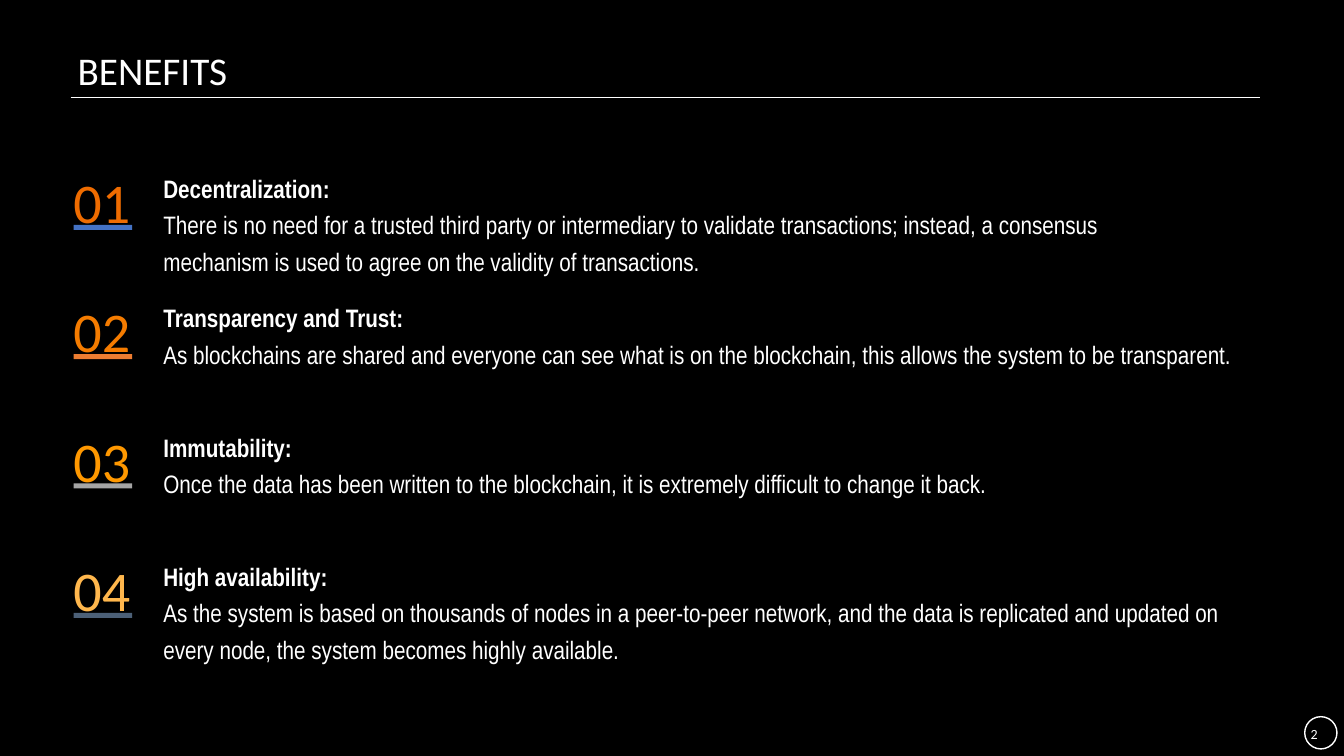
from pptx import Presentation, util as u
from pptx.dml.color import RGBColor
from pptx.enum import shapes, text
from pptx.oxml.ns import qn

WHITE = "FFFFFF"
BENEFITS = [
    ("Decentralization:",
     ["There is no need for a trusted third party or intermediary to validate transactions; instead, a consensus",
      "mechanism is used to agree on the validity of transactions."],
     "EF6C00", "4472C4", 11.01, 1.11),
    ("Transparency and Trust:",
     ["As blockchains are shared and everyone can see what is on the blockchain, "
      "this allows the system to be transparent."],
     "F57C00", "ED7D31", 11.01, 0.75),
    ("Immutability:",
     ["Once the data has been written to the blockchain, it is extremely difficult to change it back."],
     "FF9800", "A5A5A5", 10.69, 0.75),
    ("High availability:",
     ["As the system is based on thousands of nodes in a peer-to-peer network, and the data is replicated "
      "and updated on every node, the system becomes highly available."],
     "FFB74D", "4C6077", 10.69, 1.11),
]
ROW_TOP, ROW_STEP = 1.5, 1.283


def color(value):
    return RGBColor.from_string(value)


def inches(*values):
    return [u.Inches(value) for value in values]


class Page:
    heading_font = "Calibri"
    body_font = "Arial Narrow"

    def __init__(self, deck):
        self.slide = deck.slides.add_slide(deck.slide_layouts[5])
        fill = self.slide.background.fill
        fill.solid()
        fill.fore_color.rgb = color("000000")

    def format_para(self, para, size, font, tint=WHITE, bold=False, spacing=1.2, align=text.PP_ALIGN.LEFT):
        para.line_spacing = spacing
        para.alignment = align
        for span in para.runs:
            span.font.size = u.Pt(size)
            span.font.name = font
            span.font.bold = bold
            span.font.color.rgb = color(tint)

    def title(self, words, at):
        box = self.slide.shapes.title
        box.left, box.top, box.width, box.height = inches(*at)
        frame = box.text_frame
        frame.text = words
        frame.auto_size = text.MSO_AUTO_SIZE.NONE
        frame.vertical_anchor = text.MSO_ANCHOR.TOP
        self.format_para(frame.paragraphs[0], 28, self.heading_font, spacing=0.9)

    def text_box(self, lines, at, inset=0.03, parent=None):
        box = (parent or self.slide).shapes.add_textbox(*inches(*at))
        frame = box.text_frame
        frame.word_wrap = True
        frame.margin_left = frame.margin_right = u.Inches(inset)
        frame.margin_top = frame.margin_bottom = u.Inches(inset)
        frame.text = "\n".join(lines)
        return frame

    def shape(self, kind, at, fill=None, line=None, parent=None):
        item = (parent or self.slide).shapes.add_shape(kind, *inches(*at))
        item.shadow.inherit = False
        if fill:
            item.fill.solid()
            item.fill.fore_color.rgb = color(fill)
        else:
            item.fill.background()
        if line:
            item.line.color.rgb = color(line)
            item.line.width = u.Pt(1)
        else:
            item.line.fill.background()

    def rule(self, start, end):
        line = self.slide.shapes.add_connector(shapes.MSO_CONNECTOR.STRAIGHT, *inches(*start, *end))
        line.line.color.rgb = color(WHITE)
        line.line.width = u.Pt(1)
        properties = line._element.spPr
        properties.append(properties.makeelement(qn("a:effectLst"), {}))

    def benefit(self, number, top, heading, body, number_color, bar_color, width, height):
        frame = self.text_box([heading] + body, (1.59, top + 0.13, width, height))
        for index, para in enumerate(frame.paragraphs):
            self.format_para(para, 18, self.body_font, bold=index == 0)
        # Number with its bar
        group = self.slide.shapes.add_group_shape()
        frame = self.text_box([f"{number:02}"], (0.61, top, 0.8, 0.82), parent=group)
        self.format_para(frame.paragraphs[0], 40, self.heading_font, number_color, align=text.PP_ALIGN.CENTER)
        self.shape(shapes.MSO_SHAPE.RECTANGLE, (0.73, top + 0.73, 0.58, 0.05), fill=bar_color, parent=group)

    def page_number(self, number):
        frame = self.text_box([number], (12.93, 7.12, 0.33, 0.32), inset=0.07)
        frame.vertical_anchor = text.MSO_ANCHOR.MIDDLE
        self.format_para(frame.paragraphs[0], 10, self.heading_font, spacing=1.0)
        self.shape(shapes.MSO_SHAPE.OVAL, (12.94, 7.11, 0.32, 0.32), line=WHITE)


def main():
    deck = Presentation()
    deck.slide_width, deck.slide_height = inches(13.33, 7.5)
    page = Page(deck)

    # Header and page number
    page.rule((0.7, 0.97), (12.5, 0.97))
    page.page_number("2")
    page.title("BENEFITS", (0.67, 0.46, 10.56, 0.4))

    # Numbered benefits
    for index, row in enumerate(BENEFITS):
        page.benefit(index + 1, ROW_TOP + index * ROW_STEP, *row)

    deck.save("out.pptx")


if __name__ == "__main__":
    main()
